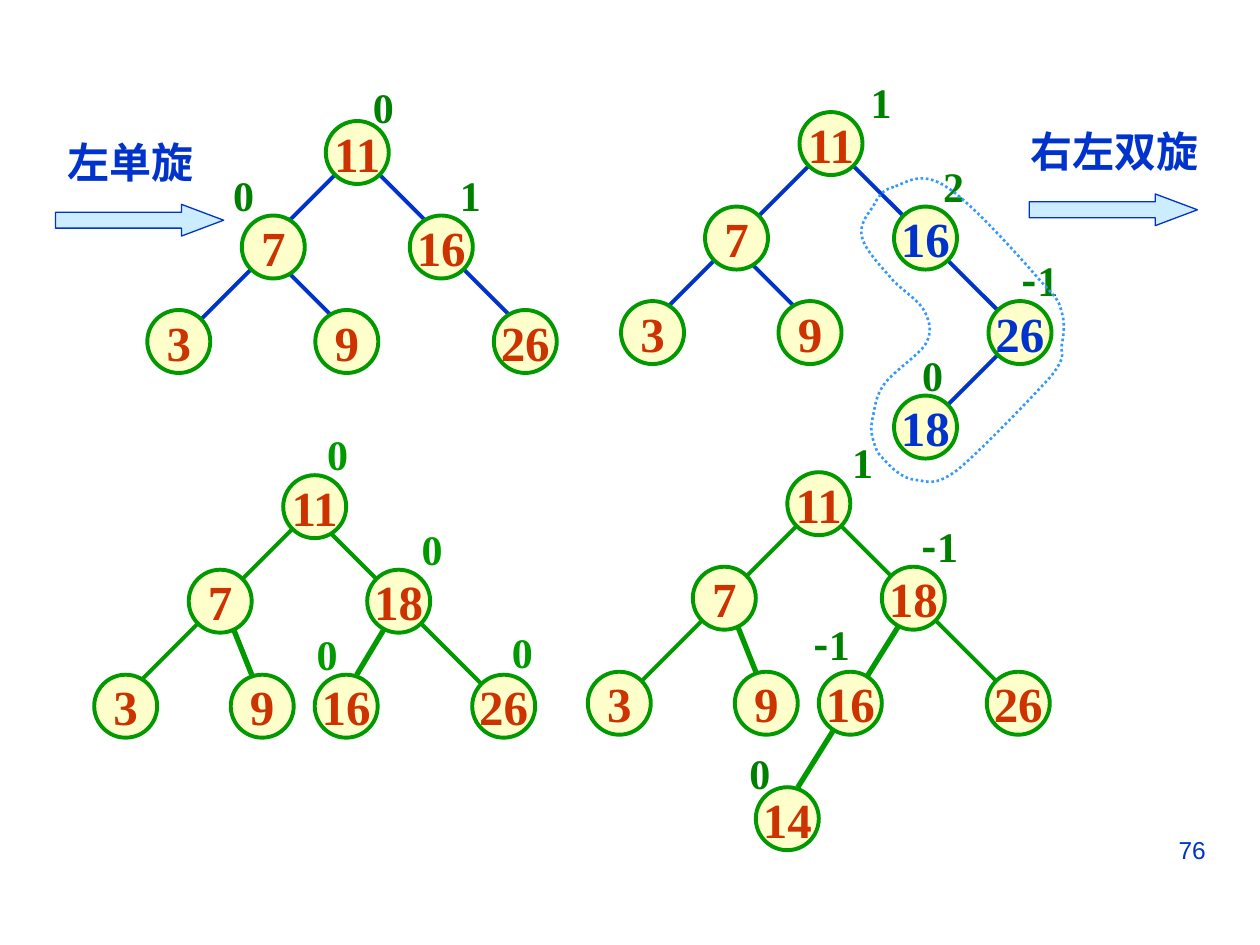
from dataclasses import dataclass

from lxml import etree
from pptx import Presentation
from pptx import util as u
from pptx.dml.color import RGBColor
from pptx.enum import dml, shapes, text
from pptx.oxml.ns import qn


@dataclass(frozen=True)
class Theme:
    blue: str = "0033CC"
    green: str = "009900"
    dark_green: str = "008000"
    red: str = "CC3300"
    cream: str = "FFFFCC"
    pale_blue: str = "CCECFF"
    dash_blue: str = "3399FF"
    serif: str = "Times New Roman"
    sans: str = "Arial"
    cjk: str = "Noto Sans CJK SC"
    key_size: int = 28
    label_size: int = 24
    page_size: int = 14
    thin: float = 0.75
    loop: float = 1.5
    normal: float = 2.25
    thick: float = 3


T = Theme()
GRID = 2.54 / 12  # cm; the trees are laid out on this grid
NODE = 6          # node diameter in grid steps


def grid(box, x, y):
    """Slide position of a grid point inside a box whose corner is in cm."""
    return u.Cm(box[0] + x * GRID), u.Cm(box[1] + y * GRID)


def add_run(p, words, size, color, font, bold=True):
    r = p.add_run()
    r.text = words
    values = {"size": u.Pt(size), "bold": bold, "name": font}
    for name, value in values.items():
        setattr(r.font, name, value)
    r.font.color.rgb = RGBColor.from_string(color)
    etree.SubElement(r.font._element, qn("a:ea")).set("typeface", T.cjk)


def set_frame(tf, **values):
    for name, value in values.items():
        setattr(tf, name, value)


def paint(sp, fill, line, width):
    sp.shadow.inherit = False
    if fill:
        sp.fill.solid()
        sp.fill.fore_color.rgb = RGBColor.from_string(fill)
    else:
        sp.fill.background()
    sp.line.color.rgb = RGBColor.from_string(line)
    sp.line.width = u.Pt(width)


def add_label(parent, x, y, w, words, color):
    tf = parent.add_textbox(x, y, u.Cm(w), u.Cm(1.27)).text_frame
    set_frame(tf, word_wrap=False, auto_size=text.MSO_AUTO_SIZE.SHAPE_TO_FIT_TEXT)
    p = tf.paragraphs[0]
    if words.startswith("-"):
        add_run(p, "-", T.label_size, color, T.cjk)
        words = words[1:]
    add_run(p, words, T.label_size, color, T.serif)


def add_edge(parent, start, end, color, width):
    c = parent.add_connector(shapes.MSO_CONNECTOR.STRAIGHT, *start, *end)
    c.line.color.rgb = RGBColor.from_string(color)
    c.line.width = u.Pt(width)
    etree.SubElement(c._element.spPr, qn("a:effectLst"))


def add_node(parent, x, y, key, color):
    side = u.Cm(NODE * GRID)
    sp = parent.add_shape(shapes.MSO_SHAPE.OVAL, x, y, side, side)
    paint(sp, T.cream, T.green, T.normal)
    tf = sp.text_frame
    set_frame(tf, word_wrap=False, vertical_anchor=text.MSO_ANCHOR.MIDDLE,
              margin_left=0, margin_right=0, margin_top=0, margin_bottom=0)
    p = tf.paragraphs[0]
    p.alignment = text.PP_ALIGN.CENTER
    add_run(p, str(key), T.key_size, color, T.serif)


def add_tree(s, box, nodes, edges, balances, edge_color=T.green,
             balance_color=T.dark_green, thick=(), marked=()):
    """Group of edges, nodes and balance factors; positions in grid steps."""
    parent = s.shapes.add_group_shape().shapes
    for i, (x1, y1, x2, y2) in enumerate(edges):
        width = T.thick if i in thick else T.normal
        add_edge(parent, grid(box, x1, y1), grid(box, x2, y2), edge_color, width)
    for key, (x, y) in nodes.items():
        color = T.blue if key in marked else T.red
        add_node(parent, *grid(box, x, y), key, color)
    for words, x, y in balances:
        width = 1.35 if words.startswith("-") else 0.94
        add_label(parent, *grid(box, x, y), width, words, balance_color)


def add_rotation(s, box, words, label_shift, label_width):
    """Block arrow with the name of the rotation above it."""
    x, y = box
    sp = s.shapes.add_shape(shapes.MSO_SHAPE.RIGHT_ARROW, u.Cm(x), u.Cm(y + 1.5),
                            u.Cm(3.39), u.Cm(0.64))
    sp.adjustments[0], sp.adjustments[1] = 0.5, 1.33
    paint(sp, T.pale_blue, T.blue, T.thin)
    add_label(s.shapes, u.Cm(x + label_shift), u.Cm(y), label_width, words, T.blue)


def add_loop(s, box, start, curves):
    """Closed dotted outline; each curve is two control points and an end."""
    points = [grid(box, *pt) for curve in curves for pt in zip(curve[::2], curve[1::2])]
    builder = s.shapes.build_freeform(*grid(box, *start))
    builder.add_line_segments(points, close=True)
    sp = builder.convert_to_shape()
    lines = list(sp._element.iter(qn("a:lnTo")))
    for i in range(0, len(curves) * 3, 3):
        bezier = etree.Element(qn("a:cubicBezTo"))
        lines[i].addprevious(bezier)
        for line in lines[i:i + 3]:
            bezier.append(line[0])
            line.getparent().remove(line)
    paint(sp, None, T.dash_blue, T.loop)
    sp.line.dash_style = dml.MSO_LINE.ROUND_DOT


def add_page_number(s, box, words):
    tf = s.shapes.add_textbox(*(u.Cm(v) for v in box)).text_frame
    tf.word_wrap = True
    p = tf.paragraphs[0]
    p.alignment = text.PP_ALIGN.RIGHT
    add_run(p, words, T.page_size, T.blue, T.sans, bold=False)


LOOP = [
    (2.2, 1.9, 1.9, 2.6, 1.4, 3.5), (0.8, 4.3, 0, 5.4, 0.4, 6.5),
    (0.7, 7.7, 2.4, 9.4, 3.4, 10.6), (4.4, 11.6, 5.9, 12.5, 6.4, 13.6),
    (6.8, 14.5, 7.1, 15.4, 6.4, 16.6), (5.8, 17.6, 3.2, 19.3, 2.4, 20.5),
    (1.6, 21.7, 1.6, 22.7, 1.4, 23.5), (1.2, 24.4, 1.2, 24.8, 1.4, 25.6),
    (1.6, 26.2, 1.7, 26.9, 2.4, 27.5), (3, 28.2, 4.2, 29.4, 5.4, 29.5),
    (6.6, 29.6, 7.2, 30.2, 9.4, 28.6), (11.5, 26.9, 16.7, 21.5, 18.4, 19.6),
    (20, 17.5, 19.2, 17.5, 19.4, 16.6), (19.6, 15.5, 19.7, 14.5, 19.4, 13.6),
    (19.1, 12.5, 19.2, 12.5, 17.4, 10.6), (15.6, 8.5, 10.7, 3, 8.4, 1.6),
    (6, 0, 4.6, 1.2, 3.4, 1.6),
]


def main():
    prs = Presentation()
    prs.slide_width, prs.slide_height = u.Cm(25.4), u.Cm(19.05)
    s = prs.slides.add_slide(prs.slide_layouts[6])

    add_page_number(s, (18.21, 16.71, 6.35, 1.32), "76")
    add_rotation(s, (20.75, 2.41), "右左双旋", -0.23, 3.91)
    add_rotation(s, (1.12, 2.62), "左单旋", 0, 3.07)

    add_tree(s, (1.9, 9.58),
             {11: (18, 0), 7: (9, 9), 18: (26, 9), 3: (0, 19), 9: (13, 19),
              16: (21, 19), 26: (36, 19)},
             [(13, 14, 15, 19), (28, 14, 25, 19), (31, 14, 38, 21),
              (22, 5, 28, 11), (10, 14, 4, 20), (19, 5, 14, 10)],
             [("0", 21, -5), ("0", 30, 4), ("0", 20, 14), ("0", 38.6, 13.8)],
             balance_color=T.green, thick=(0, 1))
    add_tree(s, (2.97, 2.44),
             {11: (17, 0), 7: (9, 9), 16: (25, 9), 3: (0, 18), 9: (16, 18),
              26: (33, 18)},
             [(21, 4, 27, 10), (29, 13, 35, 19), (10, 14, 5, 19),
              (13, 14, 19, 20), (18, 5, 13, 10)],
             [("0", 20.3, -4.4), ("0", 7, 4), ("1", 28.6, 4)],
             edge_color=T.blue)
    add_tree(s, (11.85, 9.52),
             {11: (19, 0), 7: (10, 9), 18: (28, 9), 3: (0, 19), 9: (14, 19),
              16: (22, 19), 26: (38, 19), 14: (16, 30)},
             [(14, 14, 16, 19), (30, 14, 20, 30), (24, 5, 31, 12),
              (20, 5, 14, 11), (12, 13, 3, 22), (33, 14, 40, 21)],
             [("1", 24, -4), ("-1", 30.6, 4), ("-1", 20.3, 13.3), ("0", 14.2, 25.6)],
             thick=(0, 1))
    add_tree(s, (12.52, 2.26),
             {11: (17, 0), 7: (8, 9), 16: (26, 9), 3: (0, 18), 9: (15, 18),
              26: (35, 18), 18: (26, 27)},
             [(12, 14, 17, 19), (10, 13, 4, 19), (36, 23, 31, 28),
              (22, 5, 27, 10), (18, 5, 13, 10), (31, 14, 36, 19)],
             [("1", 22.6, -4), ("2", 29.5, 4), ("-1", 37, 13), ("0", 27.5, 22)],
             edge_color=T.blue, marked=(16, 26, 18))
    add_loop(s, (17.3, 3.43), (3.4, 1.6), LOOP)

    prs.save("out.pptx")


if __name__ == "__main__":
    main()
